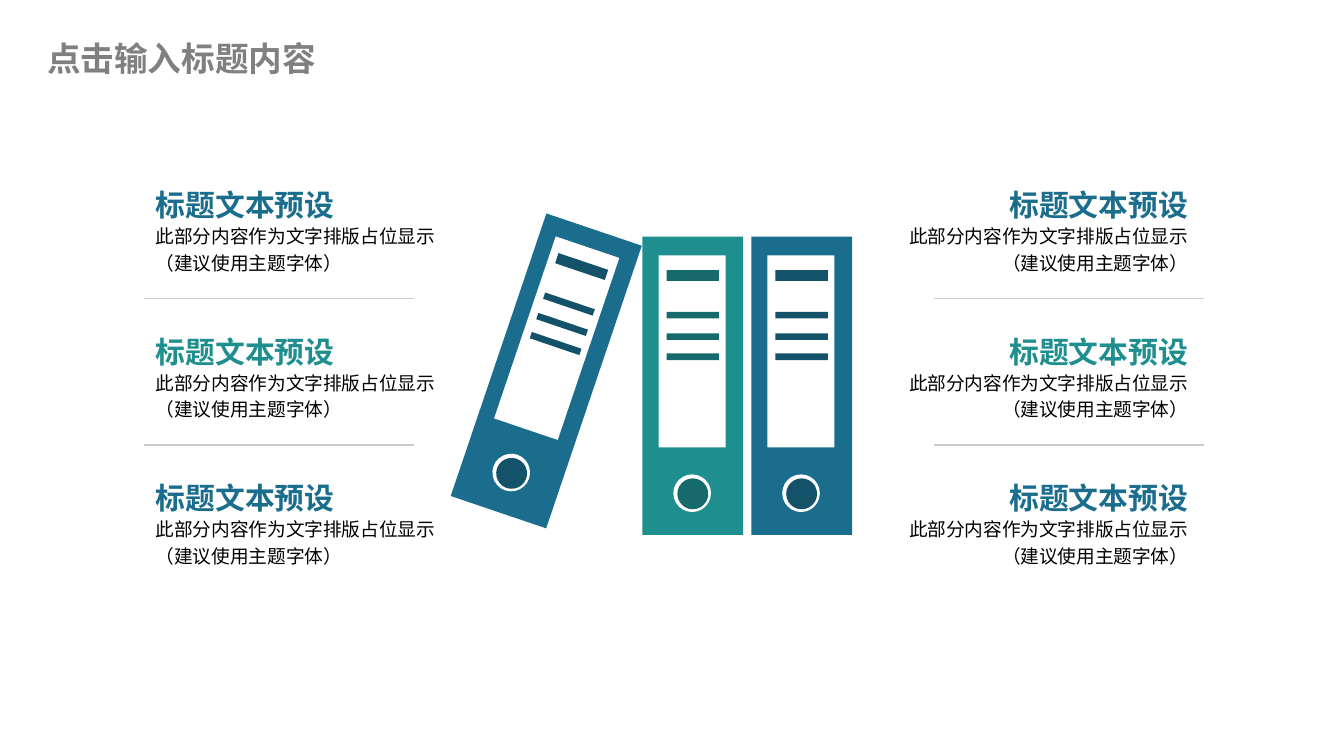
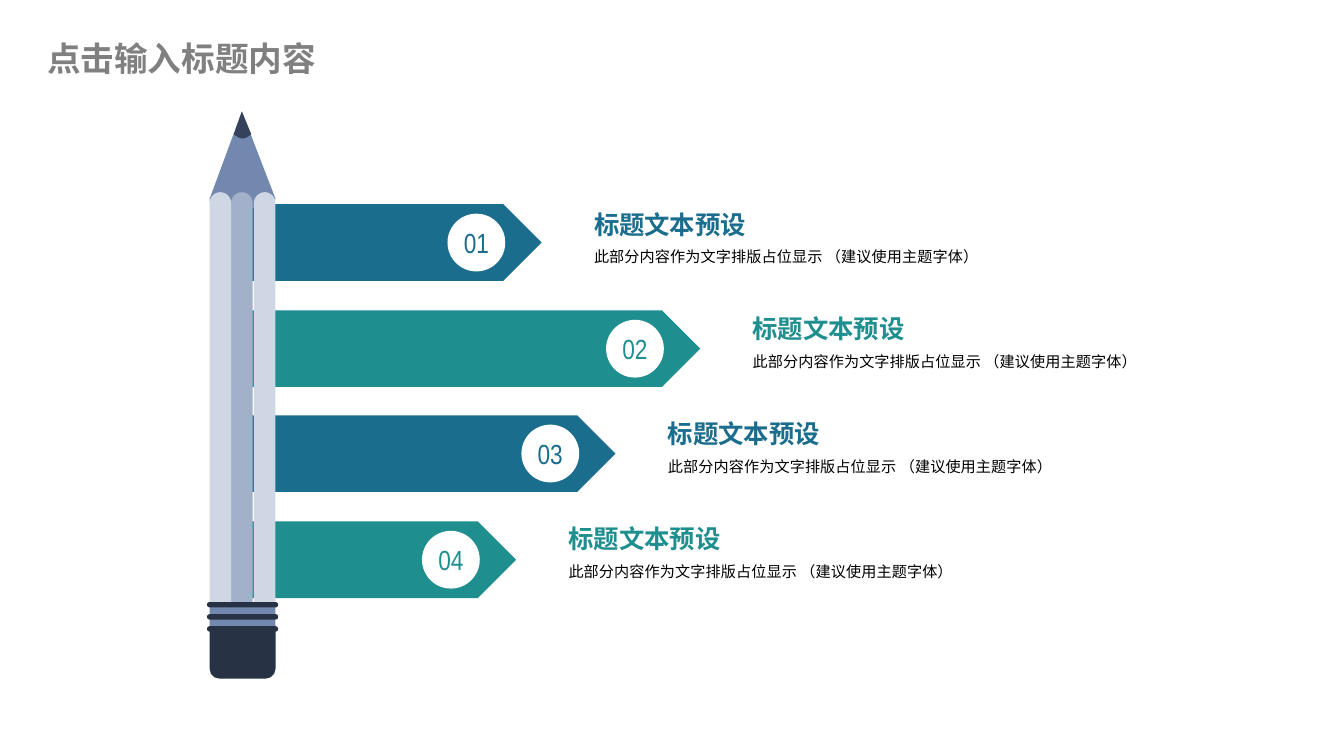
import copy
import math

import pptx
import pptx.dml.color
import pptx.enum.shapes
import pptx.enum.text
import pptx.oxml.ns
import pptx.util

SHAPE = pptx.enum.shapes.MSO_SHAPE
ANCHOR = pptx.enum.text.MSO_ANCHOR
ALIGN = pptx.enum.text.PP_ALIGN
qn = pptx.oxml.ns.qn

EMU_PER_PX = 9144  # 100 px to the inch
COLORS = {
    "blue": "1A6D8C", "dark blue": "145269",
    "teal": "1F8E8F", "dark teal": "176A6B",
    "white": "FFFFFF", "black": "000000",
    "title": "808080", "divider": "CCCCCC",
    "wood": "7388AF", "lead": "34425B", "eraser": "273244",
    "barrel": "D0D7E4", "barrel shade": "A2B0CA",
}
CJK_FONT = "Noto Sans CJK SC"
TITLE = {"name": CJK_FONT, "size": 18, "bold": True}
HEADING = {"name": "Calibri", "size": 16, "bold": True}
BODY = {"name": "Calibri", "size": 10, "bold": False}
BANNER_HEADING = {**HEADING, "size": 13.6}
BANNER_BODY = {**BODY, "size": 8.1}
NUMBER = {"name": "Arial Narrow", "size": 14.8, "bold": False}

TITLE_TEXT = "点击输入标题内容"
HEADING_TEXT = "标题文本预设"
BODY_LINES = ("此部分内容作为文字排版占位显示", "（建议使用主题字体）")


def px(n):
    return pptx.util.Emu(round(n * EMU_PER_PX))


def rgb(color):
    return pptx.dml.color.RGBColor.from_string(COLORS[color])


def paint(sp, color):
    sp.shadow.inherit = False
    sp.fill.solid()
    sp.fill.fore_color.rgb = rgb(color)
    sp.line.fill.background()
    return sp


def add_block(shapes, kind, box, color, rounding=None):
    sp = paint(shapes.add_shape(kind, *map(px, box)), color)
    if rounding is not None:
        sp.adjustments[0] = rounding
    return sp


def add_polygon(shapes, points, color):
    start, *rest = [(px(x), px(y)) for x, y in points]
    builder = shapes.build_freeform(*start, scale=1.0)
    builder.add_line_segments(rest, close=True)
    return paint(builder.convert_to_shape(), color)


def write(sp, text, font, color, align=ALIGN.LEFT, spacing=None,
          margins=(0, 0, 0, 0), **frame):
    """Fill a shape with one paragraph; margins run left, top, right, bottom."""
    tf = sp.text_frame
    sides = ("margin_left", "margin_top", "margin_right", "margin_bottom")
    settings = {"auto_size": pptx.enum.text.MSO_AUTO_SIZE.NONE,
                "word_wrap": True, "vertical_anchor": ANCHOR.TOP,
                **dict(zip(sides, map(px, margins))), **frame}
    for name, value in settings.items():
        setattr(tf, name, value)
    p = tf.paragraphs[0]
    p.text = text
    p.alignment = align
    if spacing:
        p.line_spacing = spacing
    for r in p.runs:
        for name, value in {**font, "size": pptx.util.Pt(font["size"])}.items():
            setattr(r.font, name, value)
        r.font.color.rgb = rgb(color)
        props = r.font._element
        ea = props.makeelement(qn("a:ea"), {"typeface": CJK_FONT})
        props.find(qn("a:latin")).addnext(ea)
    # A line break takes its height from its own run properties.
    for br in p._p.findall(qn("a:br")):
        br.append(copy.deepcopy(p.runs[0].font._element))


def add_text(shapes, box, text, font, color, **options):
    write(shapes.add_textbox(*map(px, box)), text, font, color, **options)


def add_divider(shapes, x, y, w):
    line = shapes.add_connector(pptx.enum.shapes.MSO_CONNECTOR.STRAIGHT,
                                px(x), px(y), px(x + w), px(y))
    line.line.color.rgb = rgb("divider")
    line.line.width = pptx.util.Pt(0.75)
    props = line._element.spPr
    props.append(props.makeelement(qn("a:effectLst"), {}))


def add_titled_slide(prs):
    s = prs.slides.add_slide(prs.slide_layouts.get_by_name("Title Only"))
    title = s.shapes.title
    box = {"left": 35, "top": 22, "width": 233, "height": 42}
    for name, value in box.items():
        setattr(title, name, px(value))
    write(title, TITLE_TEXT, TITLE, "title", margins=(0, 5, 0, 5),
          vertical_anchor=ANCHOR.MIDDLE)
    return s


def add_binder(shapes, x, y, color, angle=0):
    group = shapes.add_group_shape()
    dark = "dark " + color
    parts = [(SHAPE.RECTANGLE, (0, 0, 75, 222), color),
             (SHAPE.RECTANGLE, (12, 14, 50, 143), "white")]
    parts += [(SHAPE.RECTANGLE, (18, top, 39, h), dark)
              for top, h in ((56, 5), (72, 5), (87, 5), (25, 8))]
    parts += [(SHAPE.OVAL, (23, 177, 28, 28), "white"),
              (SHAPE.OVAL, (26, 180, 23, 23), dark)]
    for kind, (dx, dy, w, h), fill in parts:
        add_block(group.shapes, kind, (x + dx, y + dy, w, h), fill)
    group.rotation = angle


def add_text_column(shapes, x, y, align, divider_dx):
    row_pitch = 109
    for i, color in enumerate(("blue", "teal", "blue")):
        top = y + i * row_pitch
        add_text(shapes, (x, top + 25, 214, 42), "\v".join(BODY_LINES), BODY,
                 "black", align=align, spacing=1.2)
        add_text(shapes, (x, top, 214, 25), HEADING_TEXT, HEADING, color,
                 align=align, word_wrap=False)
        if i < 2:
            add_divider(shapes, x + divider_dx, top + 83, 201)


def build_binder_slide(prs):
    shapes = add_titled_slide(prs).shapes
    add_binder(shapes, 559, 176, "blue")
    add_binder(shapes, 478, 176, "teal")
    add_binder(shapes, 369, 165, "blue", angle=18.7)
    add_text_column(shapes, 670, 139, ALIGN.RIGHT, divider_dx=25)
    add_text_column(shapes, 116, 139, ALIGN.LEFT, divider_dx=-9)


def add_banner(shapes, x, y, w, number, color):
    add_block(shapes, SHAPE.PENTAGON, (x, y, w, 57), color)
    badge = add_block(shapes, SHAPE.OVAL, (x + w - 70, y + 7, 43, 43), "white")
    write(badge, f"{number:02}", NUMBER, color, align=ALIGN.CENTER,
          margins=(10, 5, 10, 5), word_wrap=False, vertical_anchor=ANCHOR.MIDDLE)


def add_caption(shapes, x, y, color):
    indent = (39, 0, 0, 0)
    add_text(shapes, (x, y, 325, 20), HEADING_TEXT, BANNER_HEADING, color,
             margins=indent, word_wrap=False, vertical_anchor=ANCHOR.BOTTOM)
    add_text(shapes, (x, y + 20, 325, 26), " ".join(BODY_LINES), BANNER_BODY,
             "black", margins=indent, vertical_anchor=ANCHOR.MIDDLE)


def add_pencil(shapes, x, y):
    """Draw the pencil with its barrel's left edge at x and its point at y."""
    rounded = SHAPE.ROUNDED_RECTANGLE
    add_block(shapes, rounded, (x, y + 376, 49, 46), "eraser", 0.16)
    wood = ((0, 65), (24, 0), (49, 65), (40, 73), (0, 67))
    add_polygon(shapes, [(x + dx, y + dy) for dx, dy in wood], "wood")
    for i, color in ((1, "barrel shade"), (2, "barrel"), (0, "barrel")):
        add_block(shapes, rounded, (x + i * 33 // 2, y + 60, 16, 312), color, 0.5)
    steps = 12
    lead = [(x + 18 + 13 * t / steps, y + 17 + 3 * math.sin(math.pi * t / steps))
            for t in range(steps + 1)]
    add_polygon(shapes, [(x + 24, y)] + lead, "lead")
    add_block(shapes, SHAPE.RECTANGLE, (x, y + 365, 49, 21), "wood")
    for i in range(3):
        add_block(shapes, rounded, (x - 2, y + 365 + 9 * i, 53, 4), "eraser", 0.5)


def build_pencil_slide(prs):
    shapes = add_titled_slide(prs).shapes
    left = 177
    banners = list(enumerate(zip((226, 344, 281, 207), ("blue", "teal") * 2)))
    for i, (w, color) in banners:
        add_banner(shapes, left, 152 + round(i * 236 / 3), w, i + 1, color)
    add_pencil(shapes, 156, 83)
    for i, (w, color) in banners:
        add_caption(shapes, left + w, 158 + 78 * i, color)


def main():
    prs = pptx.Presentation()
    prs.slide_width = px(1000)
    prs.slide_height = prs.slide_width * 9 // 16
    build_binder_slide(prs)
    build_pencil_slide(prs)
    prs.save("out.pptx")


if __name__ == "__main__":
    main()
